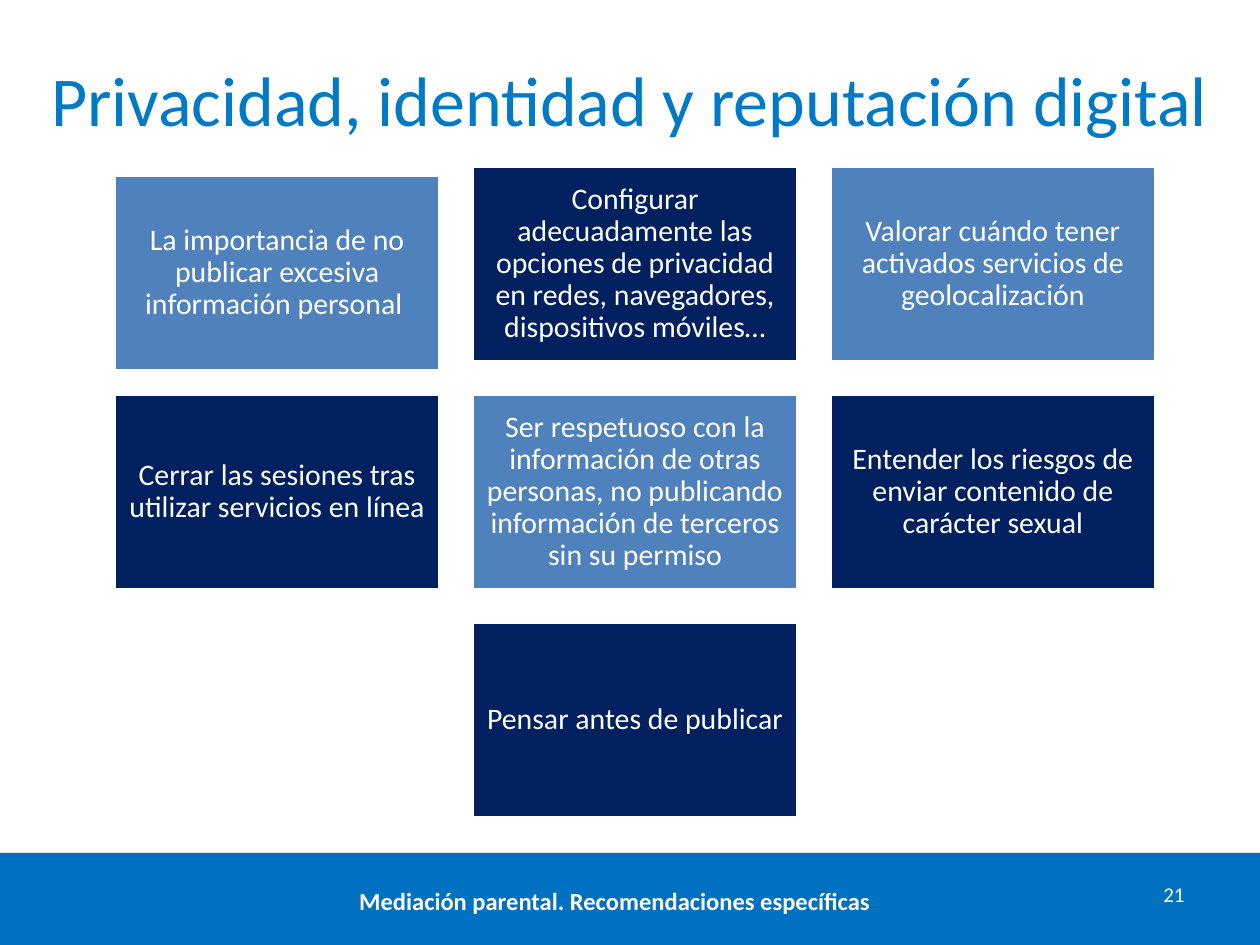
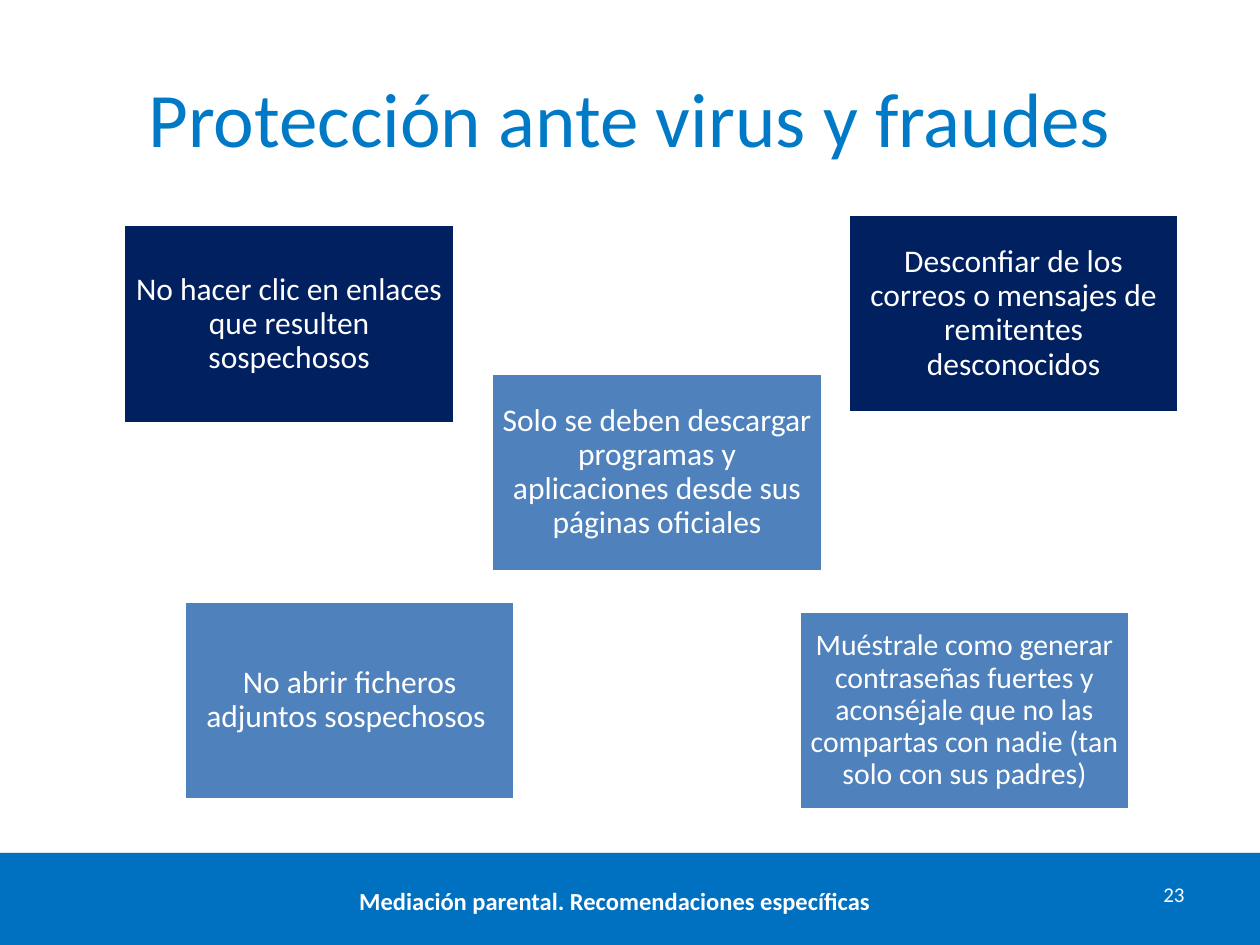
from dataclasses import dataclass

from lxml import etree
from pptx import Presentation
from pptx.dml.color import RGBColor
from pptx.enum.shapes import MSO_SHAPE
from pptx.enum.text import MSO_ANCHOR, PP_ALIGN
from pptx.oxml.ns import qn
from pptx.util import Inches, Pt


@dataclass(frozen=True)
class Theme:
    font: str = "Calibri"
    band: str = "0070C0"
    title: str = "007AC6"
    dark: str = "002060"
    light: str = "4F81BD"
    white: str = "FFFFFF"
    shadow: str = "000000"
    card_size: int = 17
    large_card_size: int = 18
    footer_size: int = 14
    number_size: int = 12
    long_title_size: int = 40
    title_size: int = 44


THEME = Theme()
SLIDE_WIDTH, SLIDE_HEIGHT = 10, 7.5
BAND_TOP = 6.77
FOOTER = "Mediación parental. Recomendaciones específicas"

PRIVACY_TIPS = [
    "La importancia de no publicar excesiva información personal ",
    "Configurar adecuadamente las opciones de privacidad en redes, navegadores, dispositivos móviles…",
    "Valorar cuándo tener activados servicios de geolocalización",
    "Cerrar las sesiones tras utilizar servicios en línea",
    "Ser respetuoso con la información de otras personas, no publicando información de terceros sin su permiso",
    "Entender los riesgos de enviar contenido de carácter sexual",
    "Pensar antes de publicar",
]
FRAUD_TIPS = [
    (0.98, 1.78, THEME.dark, THEME.large_card_size,
     "No hacer clic en enlaces que resulten sospechosos"),
    (3.9, 2.96, THEME.light, THEME.large_card_size,
     "Solo se deben descargar programas y aplicaciones desde sus páginas oficiales"),
    (6.73, 1.7, THEME.dark, THEME.large_card_size,
     "Desconfiar de los correos o mensajes de remitentes desconocidos"),
    (1.46, 4.77, THEME.light, THEME.large_card_size,
     "No abrir ficheros adjuntos sospechosos "),
    (6.34, 4.85, THEME.light, THEME.card_size,
     "Muéstrale como generar contraseñas fuertes y aconséjale que no las compartas con nadie "
     "(tan solo con sus padres)"),
]


def write_text(shape, text, *, size, color=THEME.white, bold=False,
               align=PP_ALIGN.CENTER, anchor=MSO_ANCHOR.TOP, inset=None, spacing=None):
    frame = shape.text_frame
    frame.word_wrap = True
    frame.vertical_anchor = anchor
    if inset is not None:
        frame.margin_left = frame.margin_right = Inches(inset)
        frame.margin_top = frame.margin_bottom = Inches(inset)
    paragraph = frame.paragraphs[0]
    paragraph.text = text
    paragraph.alignment = align
    paragraph.line_spacing = spacing
    font = paragraph.font
    font.name, font.size, font.bold = THEME.font, Pt(size), bold
    font.color.rgb = RGBColor.from_string(color)


def add_label(slide, box, text, **style):
    write_text(slide.shapes.add_textbox(*map(Inches, box)), text, **style)


def add_rectangle(slide, box, fill):
    rectangle = slide.shapes.add_shape(MSO_SHAPE.RECTANGLE, *map(Inches, box))
    rectangle.shadow.inherit = False
    rectangle.fill.solid()
    rectangle.fill.fore_color.rgb = RGBColor.from_string(fill)
    rectangle.line.fill.background()
    return rectangle


def add_card(slide, box, text, fill, size):
    card = add_rectangle(slide, box, fill)
    card.line.color.rgb = RGBColor.from_string(THEME.white)
    card.line.width = Pt(2)
    write_text(card, text, size=size, anchor=MSO_ANCHOR.MIDDLE, inset=0.07, spacing=0.9)


def add_band_shadow(band):
    effects = band.element.spPr.find(qn("a:effectLst"))
    shadow = etree.SubElement(effects, qn("a:outerShdw"), blurRad=str(Pt(3.1)),
                              dist=str(Pt(1.8)), dir="5400000", rotWithShape="0")
    color = etree.SubElement(shadow, qn("a:srgbClr"), val=THEME.shadow)
    etree.SubElement(color, qn("a:alpha"), val="35000")


def add_footer(slide, box, number, caption_center):
    left, top, width, height = box
    band = add_rectangle(slide, box, THEME.band)
    add_band_shadow(band)
    add_label(slide, (left + width - 1.3, top + 0.18, 0.8, 0.4), str(number),
              size=THEME.number_size, align=PP_ALIGN.RIGHT)
    caption_width = 6.2
    add_label(slide, (left + caption_center - caption_width / 2, top + 0.21, caption_width, 0.4),
              FOOTER, size=THEME.footer_size, bold=True)


def add_page(deck, title, title_box, title_size, number):
    slide = deck.slides.add_slide(deck.slide_layouts[6])
    add_footer(slide, (0, BAND_TOP, SLIDE_WIDTH, SLIDE_HEIGHT - BAND_TOP), number, 4.88)
    add_label(slide, title_box, title, size=title_size, color=THEME.title,
              anchor=MSO_ANCHOR.MIDDLE)
    return slide


def add_privacy_grid(slide, box):
    left, top, width, height = box
    columns, rows, gap = 3, 3, 0.26
    card_width = (width - gap * (columns - 1)) / columns
    card_height = (height - gap * (rows - 1)) / rows
    for index, tip in enumerate(PRIVACY_TIPS):
        row, column = divmod(index, columns)
        is_last = index == len(PRIVACY_TIPS) - 1
        if is_last:
            column = columns // 2
        drop = 0.07 if index == 0 else 0
        fill = THEME.dark if index % 2 or is_last else THEME.light
        card_box = (left + column * (card_width + gap),
                    top + row * (card_height + gap) + drop, card_width, card_height)
        add_card(slide, card_box, tip, fill, THEME.card_size)


def add_fraud_cards(slide, card_width, card_height):
    for left, top, fill, size, tip in FRAUD_TIPS:
        add_card(slide, (left, top, card_width, card_height), tip, fill, size)


def main():
    deck = Presentation()
    deck.slide_width, deck.slide_height = Inches(SLIDE_WIDTH), Inches(SLIDE_HEIGHT)
    privacy = add_page(deck, "Privacidad, identidad y reputación digital",
                       (0.17, 0.16, 9.65, 1.25), THEME.long_title_size, 21)
    add_privacy_grid(privacy, (0.91, 1.32, 8.26, 5.17))
    fraud = add_page(deck, "Protección ante virus y fraudes",
                     (0.5, 0.3, 9, 1.25), THEME.title_size, 23)
    add_fraud_cards(fraud, 2.63, 1.58)
    deck.save("out.pptx")


if __name__ == "__main__":
    main()
